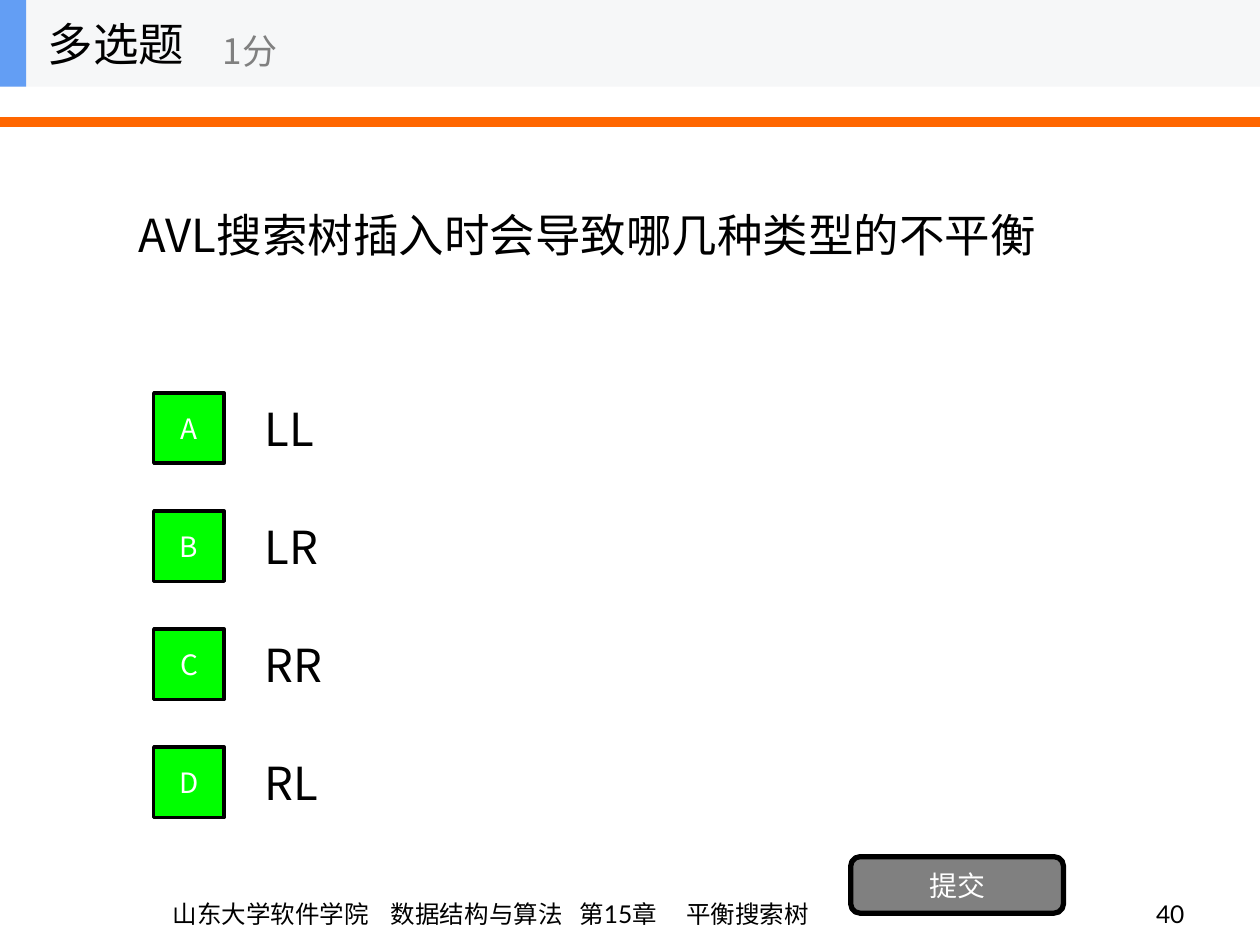
from lxml.etree import SubElement
from pptx import Presentation
from pptx.dml.color import RGBColor
from pptx.enum.shapes import MSO_CONNECTOR, MSO_SHAPE
from pptx.enum.text import MSO_ANCHOR, MSO_AUTO_SIZE, PP_ALIGN
from pptx.oxml.ns import qn
from pptx.util import Cm, Pt

COLORS = {
    "black": "000000",
    "white": "FFFFFF",
    "gray": "808080",
    "rule": "FF6600",
    "badge": "00FF00",
    "band": "F6F7F8",
    "accent": "639EF4",
}
CJK = "Noto Sans CJK SC"
LATO = "Lato"


def rgb(name):
    return RGBColor.from_string(COLORS[name])


def put_text(sp, text, size=26, font=CJK, color="black",
             align=PP_ALIGN.LEFT, anchor=MSO_ANCHOR.MIDDLE, tabs=()):
    """Write one formatted paragraph; tabs are stops in cm from the text edge."""
    tf = sp.text_frame
    tf.word_wrap = True
    tf.auto_size = MSO_AUTO_SIZE.NONE
    tf.vertical_anchor = anchor
    p = tf.paragraphs[0]
    p.alignment = align
    if tabs:
        tab_list = SubElement(p._p.get_or_add_pPr(), qn("a:tabLst"))
        for pos in tabs:
            SubElement(tab_list, qn("a:tab"), pos=str(Cm(pos)), algn="l")
    r = p.add_run()
    r.text = text
    r.font.size = Pt(size)
    r.font.name = font
    r.font.color.rgb = rgb(color)
    SubElement(r._r.get_or_add_rPr(), qn("a:ea"), typeface=font)


def add_label(shapes, text, x, y, w, h, **fmt):
    sp = shapes.add_textbox(Cm(x), Cm(y), Cm(w), Cm(h))
    put_text(sp, text, **fmt)
    return sp


def add_box(shapes, kind, x, y, w, h, fill, line_width=0):
    sp = shapes.add_shape(kind, Cm(x), Cm(y), Cm(w), Cm(h))
    sp.shadow.inherit = False
    sp.fill.solid()
    sp.fill.fore_color.rgb = rgb(fill)
    if line_width:
        sp.line.color.rgb = rgb("black")
        sp.line.width = Pt(line_width)
    else:
        sp.line.fill.background()
    return sp


def add_rule(s, x, y, w):
    cxn = s.shapes.add_connector(MSO_CONNECTOR.STRAIGHT,
                                 Cm(x), Cm(y), Cm(x + w), Cm(y))
    cxn.line.color.rgb = rgb("rule")
    cxn.line.width = Pt(6)
    SubElement(cxn._element.spPr, qn("a:effectLst"))


def add_question(s, text, x, y, w, h):
    title = s.shapes.title
    title.left, title.top, title.width, title.height = Cm(x), Cm(y), Cm(w), Cm(h)
    put_text(title, text)


def add_options(s, options, x, y, w, pitch=2.38, row_h=1.78, badge=1.42):
    """Stack lettered badges, each with its answer to the right."""
    text_dx = 1.98
    for i, (letter, answer) in enumerate(options):
        top = y + i * pitch
        add_label(s.shapes, answer, x + text_dx, top, w - text_dx, row_h)
        sp = add_box(s.shapes, MSO_SHAPE.RECTANGLE, x, top + (row_h - badge) / 2,
                     badge, badge, "badge", line_width=2)
        put_text(sp, letter, size=16, color="white", align=PP_ALIGN.CENTER)


def add_submit(s, text, x, y, w, h):
    sp = add_box(s.shapes, MSO_SHAPE.ROUNDED_RECTANGLE, x, y, w, h, "gray",
                 line_width=3)
    put_text(sp, text, size=16, color="white", align=PP_ALIGN.CENTER)


def add_header(s, kind, points, x, y, w, h):
    """Group the top band with the question kind and its points."""
    shapes = s.shapes.add_group_shape().shapes
    add_box(shapes, MSO_SHAPE.RECTANGLE, x, y, w, h, "band")
    add_box(shapes, MSO_SHAPE.RECTANGLE, x, y, 0.53, h, "accent")
    add_label(shapes, kind, x + 0.71, y, 5.28, h)
    add_label(shapes, points, x + 4.24, y + 0.3, 6.35, 1.42,
              size=20, color="gray")


def add_footer(s, parts, number, x, y, w, h):
    fmt = dict(size=14, font=LATO, anchor=MSO_ANCHOR.BOTTOM)
    course_w = 17.4
    number_dx = 17.55
    sp = add_label(s.shapes, "\t".join(parts), x, y, course_w, h,
                   tabs=(4.4, 8.2, 10.35), **fmt)
    sp.text_frame.margin_left = Cm(2.18)
    add_label(s.shapes, number, x + number_dx, y, w - number_dx, h,
              align=PP_ALIGN.RIGHT, **fmt)


def main():
    prs = Presentation()
    prs.slide_width, prs.slide_height = Cm(25.4), Cm(19.05)
    s = prs.slides.add_slide(prs.slide_layouts[5])
    add_rule(s, 0, 2.46, 25.4)
    add_footer(s, ("山东大学软件学院", "数据结构与算法", "第15章", "平衡搜索树"),
               "40", 1.3, 17.58, 22.83, 1.27)
    add_question(s, "AVL搜索树插入时会导致哪几种类型的不平衡",
                 2.54, 1.75, 20.32, 5.94)
    add_options(s, zip("ABCD", ("LL", "LR", "RR", "RL")), 3.1, 7.74, 19.76)
    add_submit(s, "提交", 17.15, 17.27, 4.29, 1.14)
    add_header(s, "多选题", "1分", 0, 0, 25.4, 1.75)
    prs.save("out.pptx")


if __name__ == "__main__":
    main()
